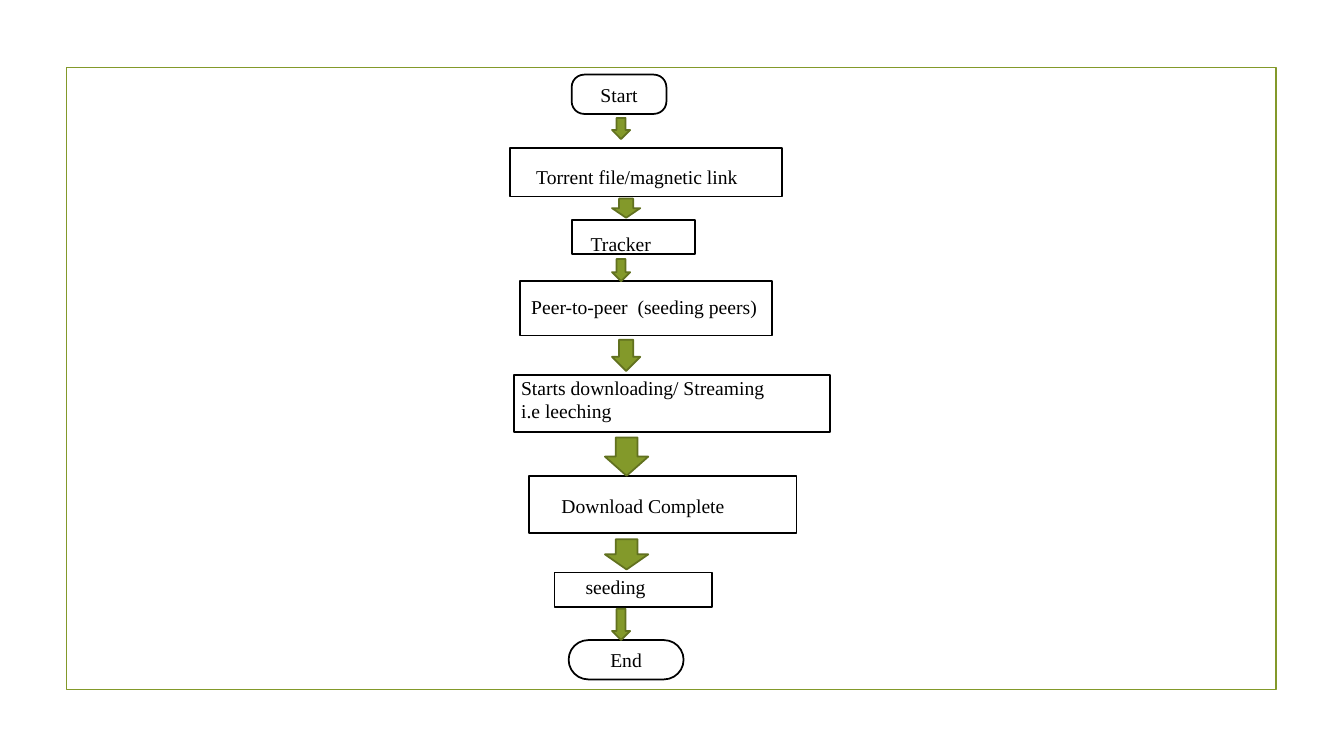
from typing import NamedTuple

from pptx import Presentation
from pptx import util as u
from pptx.dml.color import RGBColor
from pptx.enum import shapes, text

PX = u.Inches(1) // 100
BLACK, WHITE, GREEN, DARK_GREEN = "000000", "FFFFFF", "83992A", "61711F"
FONT = {"name": "Times New Roman", "size": u.Pt(14)}
LABEL_FRAME = {"word_wrap": True, "auto_size": text.MSO_AUTO_SIZE.SHAPE_TO_FIT_TEXT}
TERMINAL_FRAME = {"word_wrap": True, "vertical_anchor": text.MSO_ANCHOR.MIDDLE}
LABEL_PARAGRAPH = {"alignment": text.PP_ALIGN.LEFT}
TERMINAL_PARAGRAPH = {"alignment": text.PP_ALIGN.CENTER}


class Area(NamedTuple):
    left: int
    top: int
    width: int
    height: int


class Step(NamedTuple):
    box: Area
    label: Area
    lines: list[str]


class Terminal(NamedTuple):
    box: Area
    rounding: float
    caption: str


FRAME = Area(66, 67, 1200, 617)
STEPS = [
    Step(Area(516, 279, 250, 54), Area(517, 288, 255, 34), ["Peer-to-peer  (seeding peers)"]),
    Step(Area(506, 147, 270, 48), Area(522, 159, 245, 34), ["Torrent file/magnetic link"]),
    Step(Area(510, 372, 313, 57), Area(507, 368, 313, 57),
         ["Starts downloading/ Streaming", "i.e leeching"]),
    Step(Area(525, 472, 265, 57), Area(547, 485, 214, 34), ["Download Complete"]),
    Step(Area(567, 218, 122, 34), Area(576, 225, 125, 34), ["Tracker"]),
    Step(Area(550, 568, 156, 34), Area(571, 565, 97, 34), ["seeding"]),
]
TERMINALS = [
    Terminal(Area(567, 74, 94, 39), 0.32, "Start"),
    Terminal(Area(564, 635, 114, 39), 0.5, "End"),
]
ARROWS = [
    Area(607, 117, 18, 21),
    Area(607, 197, 28, 19),
    Area(607, 257, 18, 22),
    Area(607, 337, 28, 31),
    Area(600, 434, 43, 38),
    Area(600, 535, 43, 30),
    Area(607, 604, 18, 31),
]


def color(value: str) -> RGBColor:
    return RGBColor.from_string(value)


def emu(area: Area) -> list[int]:
    return [length * PX for length in area]


def apply(target, values: dict) -> None:
    for name, value in values.items():
        setattr(target, name, value)


def add_shape(s, kind, area: Area, line: str, fill: str | None = None):
    sp = s.shapes.add_shape(kind, *emu(area))
    sp.shadow.inherit = False
    if fill:
        sp.fill.solid()
        sp.fill.fore_color.rgb = color(fill)
    else:
        sp.fill.background()
    sp.line.color.rgb = color(line)
    sp.line.width = u.Pt(1.25)
    return sp


def write(tf, lines: list[str], frame: dict, paragraph: dict) -> None:
    apply(tf, frame)
    for i, line in enumerate(lines):
        p = tf.add_paragraph() if i else tf.paragraphs[0]
        apply(p, paragraph)
        r = p.add_run()
        r.text = line
        apply(r.font, FONT)
        r.font.color.rgb = color(BLACK)


def add_step(s, step: Step) -> None:
    add_shape(s, shapes.MSO_SHAPE.RECTANGLE, step.box, BLACK, WHITE)
    label = s.shapes.add_textbox(*emu(step.label))
    write(label.text_frame, step.lines, LABEL_FRAME, LABEL_PARAGRAPH)


def add_terminal(s, terminal: Terminal) -> None:
    sp = add_shape(s, shapes.MSO_SHAPE.ROUNDED_RECTANGLE, terminal.box, BLACK, WHITE)
    sp.adjustments[0] = terminal.rounding
    write(sp.text_frame, [terminal.caption], TERMINAL_FRAME, TERMINAL_PARAGRAPH)


def main() -> None:
    prs = Presentation()
    apply(prs, {"slide_width": 1333 * PX, "slide_height": 750 * PX})
    s = prs.slides.add_slide(prs.slide_layouts[6])
    add_shape(s, shapes.MSO_SHAPE.RECTANGLE, FRAME, GREEN)
    for step in STEPS:
        add_step(s, step)
    for terminal in TERMINALS:
        add_terminal(s, terminal)
    for arrow in ARROWS:
        add_shape(s, shapes.MSO_SHAPE.DOWN_ARROW, arrow, DARK_GREEN, GREEN)
    prs.save("out.pptx")


if __name__ == "__main__":
    main()
